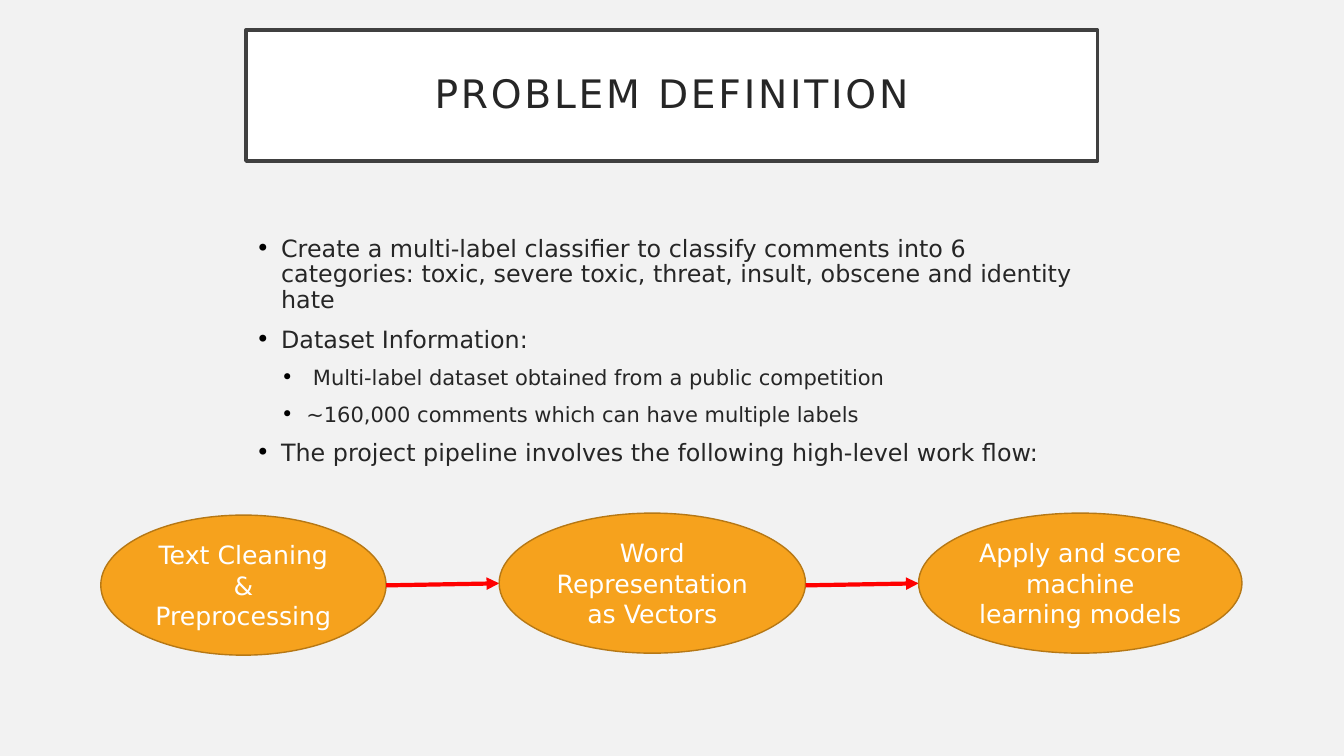
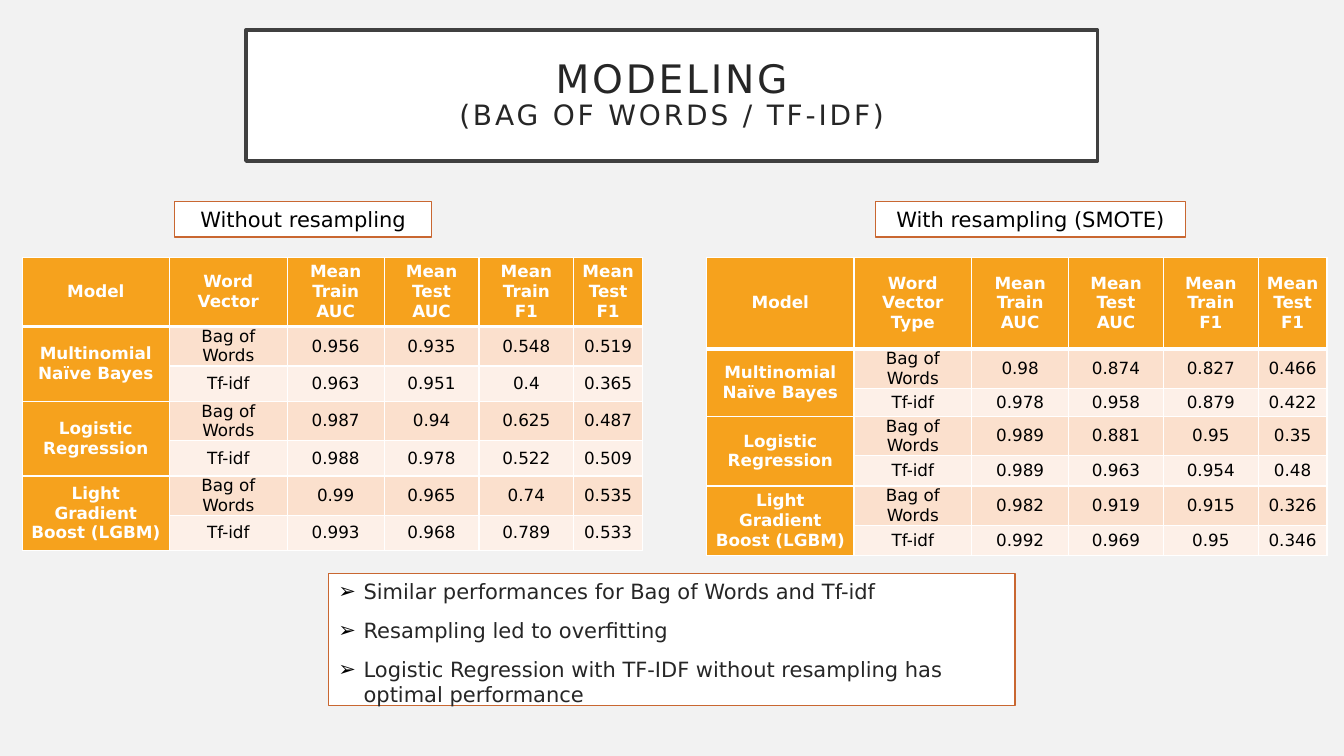
import pptx
import pptx.dml.color
import pptx.enum.shapes
import pptx.enum.text
import pptx.oxml
import pptx.oxml.ns
import pptx.util

Cm = pptx.util.Cm
Pt = pptx.util.Pt
rgb = pptx.dml.color.RGBColor.from_string
SHAPE = pptx.enum.shapes.MSO_SHAPE
ANCHOR = pptx.enum.text.MSO_ANCHOR
CENTER = pptx.enum.text.PP_ALIGN.CENTER

# Shared look
FONT = "DejaVu Sans"
BACKGROUND, WHITE, BLACK = "F2F2F2", "FFFFFF", "000000"
INK, FRAME = "262626", "404040"
ORANGE, DARK_ORANGE, RUST, RED = "F6A21D", "B67815", "C96731", "FF0000"
BANDS = ["FBE0CD", "FDF0E8"]
NAMESPACE = pptx.oxml.ns.nsdecls("a")


def add_box(shapes, kind, place, fill, line, weight=1, anchor=ANCHOR.TOP):
    """Add a filled, outlined shape at (left, top, width, height) in cm."""
    box = shapes.add_shape(kind, *[Cm(length) for length in place])
    box.shadow.inherit = False
    box.fill.solid()
    box.fill.fore_color.rgb = rgb(fill)
    box.line.color.rgb = rgb(line)
    box.line.width = Pt(weight)
    box.text_frame.word_wrap = True
    box.text_frame.vertical_anchor = anchor
    return box


def add_para(frame, text, size, color, align=None, before=0, spacing=1.0,
             bullet=None, level=0, bold=False, tracking=0):
    """Write one paragraph, starting with the frame's empty first one."""
    para = frame.paragraphs[0]
    if para.runs:
        para = frame.add_paragraph()
    para.alignment = align or pptx.enum.text.PP_ALIGN.LEFT
    para.level = level
    para.space_before = Pt(before)
    para.line_spacing = spacing
    if bullet:
        properties = para._p.get_or_add_pPr()
        step = Pt(18)
        properties.set("marL", str(step * (level + 1)))
        properties.set("indent", str(-step))
        for xml in (f'<a:buClr {NAMESPACE}><a:srgbClr val="{BLACK}"/></a:buClr>',
                    f'<a:buFont {NAMESPACE} typeface="{FONT}"/>',
                    f'<a:buChar {NAMESPACE} char="{bullet}"/>'):
            properties.append(pptx.oxml.parse_xml(xml))
    span = para.add_run()
    span.text = text
    span.font.name = FONT
    span.font.size = Pt(size)
    span.font.bold = bold
    span.font.color.rgb = rgb(color)
    if tracking:
        span._r.get_or_add_rPr().set("spc", str(tracking * 100))


deck = pptx.Presentation()
deck.slide_width, deck.slide_height = Cm(33.87), Cm(19.05)
master_fill = deck.slide_master.background.fill
master_fill.solid()
master_fill.fore_color.rgb = rgb(BACKGROUND)

# Pages with their framed titles
titles = [
    [("PROBLEM DEFINITION", 28)],
    [("MODELING", 28), ("(BAG OF WORDS / TF-IDF)", 20)],
]
pages = []
for lines in titles:
    page = deck.slides.add_slide(deck.slide_layouts[6])
    box = add_box(page.shapes, SHAPE.RECTANGLE, (6.2, 0.76, 21.46, 3.3),
                  WHITE, FRAME, 2.5, ANCHOR.MIDDLE)
    frame = box.text_frame
    frame.margin_left = frame.margin_right = Cm(0.51)
    frame.margin_top = frame.margin_bottom = Cm(0.51)
    for text, size in lines:
        add_para(frame, text, size, INK, CENTER, spacing=0.9, tracking=2)
    pages.append(page)
problem_page, modeling_page = pages

# Problem definition: bullets
box = problem_page.shapes.add_textbox(Cm(6.2), Cm(5.84), Cm(21.46), Cm(6.1))
box.text_frame.word_wrap = True
for text, level in [
    ("Create a multi-label classifier to classify comments into 6 categories: "
     "toxic, severe toxic, threat, insult, obscene and identity hate", 0),
    ("Dataset Information:", 0),
    (" Multi-label dataset obtained from a public competition", 1),
    ("~160,000 comments which can have multiple labels", 1),
    ("The project pipeline involves the following high-level work flow:", 0),
]:
    add_para(box.text_frame, text, 15 if level else 17, INK, before=10,
             spacing=0.9, bullet="•", level=level)

# Problem definition: work flow of ellipses joined by arrows
flow = problem_page.shapes.add_group_shape()
step_height, step_gap = 3.53, 2.85
left = 2.54
steps = [
    ("Text Cleaning & Preprocessing", 7.19, 12.98),
    ("Word Representation as Vectors", 7.72, 12.93),
    ("Apply and score machine learning models", 8.15, 12.93),
]
for number, (text, width, top) in enumerate(steps):
    if number:
        arrow = flow.shapes.add_connector(
            pptx.enum.shapes.MSO_CONNECTOR.STRAIGHT,
            Cm(left - step_gap), Cm(14.75), Cm(left), Cm(14.7))
        arrow.line.color.rgb = rgb(RED)
        arrow.line.width = Pt(3)
        arrow.line._get_or_add_ln().append(
            pptx.oxml.parse_xml(f'<a:tailEnd {NAMESPACE} type="triangle"/>'))
        arrow._element.spPr.append(
            pptx.oxml.parse_xml(f"<a:effectLst {NAMESPACE}/>"))
    box = add_box(flow.shapes, SHAPE.OVAL, (left, top, width, step_height),
                  ORANGE, DARK_ORANGE, anchor=ANCHOR.MIDDLE)
    add_para(box.text_frame, text, 18, WHITE, CENTER)
    left += width + step_gap

# Modeling: a label and a score table on each side
models = ["Multinomial Naïve Bayes", "Logistic Regression",
          "Light Gradient Boost (LGBM)"]
vectors = ["Bag of Words", "Tf-idf"]
score_heads = ["Mean Train\nAUC", "Mean Test\nAUC", "Mean Train\nF1", "Mean Test F1"]
column_widths = [3.71, 2.97, 2.44, 2.39, 2.39, 1.73]
sides = [
    {"label": "Without resampling", "label_left": 4.4, "label_width": 6.48,
     "left": 0.56, "vector_head": "Word Vector",
     "heights": [1.75] + [0.89] * 6,
     "scores": [("0.956", "0.935", "0.548", "0.519"),
                ("0.963", "0.951", "0.4", "0.365"),
                ("0.987", "0.94", "0.625", "0.487"),
                ("0.988", "0.978", "0.522", "0.509"),
                ("0.99", "0.965", "0.74", "0.535"),
                ("0.993", "0.968", "0.789", "0.533")]},
    {"label": "With resampling (SMOTE)", "label_left": 22.07, "label_width": 7.8,
     "left": 17.81, "vector_head": "Word Vector Type",
     "heights": [2.31, 0.76, 0.71] + [0.76] * 4,
     "scores": [("0.98", "0.874", "0.827", "0.466"),
                ("0.978", "0.958", "0.879", "0.422"),
                ("0.989", "0.881", "0.95", "0.35"),
                ("0.989", "0.963", "0.954", "0.48"),
                ("0.982", "0.919", "0.915", "0.326"),
                ("0.992", "0.969", "0.95", "0.346")]},
]
for side in sides:
    box = add_box(modeling_page.shapes, SHAPE.RECTANGLE,
                  (side["label_left"], 5.08, side["label_width"], 0.89), WHITE, RUST)
    add_para(box.text_frame, side["label"], 15, BLACK, CENTER, before=10)

    rows = [["Model", side["vector_head"], *score_heads]]
    for index, scores in enumerate(side["scores"]):
        model = "" if index % 2 else models[index // 2]
        rows.append([model, vectors[index % 2], *scores])
    table = modeling_page.shapes.add_table(
        len(rows), len(column_widths), Cm(side["left"]), Cm(6.48),
        Cm(sum(column_widths)), Cm(sum(side["heights"]))).table
    table.horz_banding = False
    for column, width in zip(table.columns, column_widths):
        column.width = Cm(width)
    for r, (row, height) in enumerate(zip(rows, side["heights"])):
        table.rows[r].height = Cm(height)
        for c, text in enumerate(row):
            cell = table.cell(r, c)
            cell.vertical_anchor = ANCHOR.MIDDLE
            cell.margin_left = cell.margin_right = Cm(0.19)
            cell.margin_top = cell.margin_bottom = 0
            # White grid with a heavier rule under the header
            thick_edge = {0: "lnB", 1: "lnT"}.get(r)
            for edge in ("lnL", "lnR", "lnT", "lnB"):
                weight = Pt(3 if edge == thick_edge else 1)
                cell._tc.get_or_add_tcPr().append(pptx.oxml.parse_xml(
                    f'<a:{edge} {NAMESPACE} w="{weight}"><a:solidFill>'
                    f'<a:srgbClr val="{WHITE}"/></a:solidFill></a:{edge}>'))
            heading = r == 0 or c == 0
            cell.fill.solid()
            cell.fill.fore_color.rgb = rgb(ORANGE if heading else BANDS[(r - 1) % 2])
            if text:
                for line in text.split("\n"):
                    add_para(cell.text_frame, line, 12, WHITE if heading else BLACK,
                             CENTER, bold=heading)
    for r in range(1, len(rows), 2):
        table.cell(r, 0).merge(table.cell(r + 1, 0))

# Modeling: findings
box = add_box(modeling_page.shapes, SHAPE.RECTANGLE, (8.28, 14.45, 17.3, 3.33),
              WHITE, RUST)
for text in [
    "Similar performances for Bag of Words and Tf-idf",
    "Resampling led to overfitting",
    "Logistic Regression with TF-IDF without resampling has optimal performance",
]:
    add_para(box.text_frame, text, 15, INK, before=10, bullet="➢")

deck.save("out.pptx")
